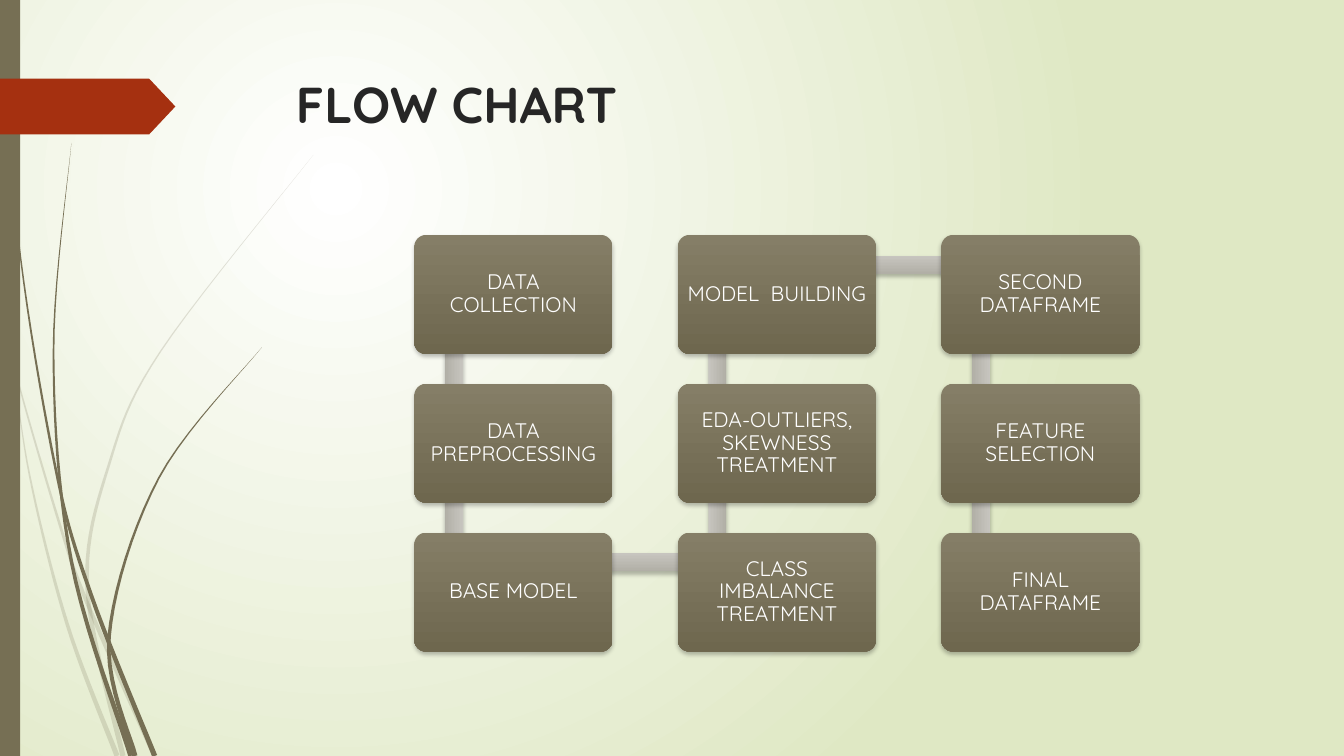
from math import hypot

from lxml import etree
from pptx import Presentation
from pptx.dml.color import RGBColor
from pptx.enum.shapes import MSO_SHAPE
from pptx.enum.text import MSO_ANCHOR, PP_ALIGN
from pptx.oxml import parse_xml
from pptx.oxml.ns import qn
from pptx.util import Cm, Pt

RECTANGLE = MSO_SHAPE.RECTANGLE
ROUNDED = MSO_SHAPE.ROUNDED_RECTANGLE
ARROW_TAG = MSO_SHAPE.PENTAGON
CENTER = PP_ALIGN.CENTER
MIDDLE = MSO_ANCHOR.MIDDLE
TOP = MSO_ANCHOR.TOP

WHITE = RGBColor(0xFF, 0xFF, 0xFF)
PALE_GREEN = RGBColor(0xDF, 0xE8, 0xC4)
OLIVE = RGBColor(0x76, 0x6F, 0x54)
RUST = RGBColor(0xA5, 0x30, 0x10)
CHARCOAL = RGBColor(0x26, 0x26, 0x26)
STEP_COLORS = RGBColor(0x85, 0x7E, 0x67), RGBColor(0x6E, 0x67, 0x4E)
BAR_COLORS = RGBColor(0xC7, 0xC5, 0xBF), RGBColor(0xB1, 0xAF, 0xA6)

FONT = "Quicksand"
PAGE_WIDTH, PAGE_HEIGHT = 33.87, 19.05
DRAWING_NS = "http://schemas.openxmlformats.org/drawingml/2006/main"

# Grass blades by opacity in percent: points in cm that each blade passes, tip to root
ROOT_WIDTH = 0.13
BLADES = {
    20: [
        [(0, 7.4), (0.4, 9.4), (1.5, 13.2), (2.2, 15.2), (3.9, 19.05)],
        [(0.3, 8.9), (0.75, 12), (1.7, 15.75), (2.95, 19.05)],
        [(7.9, 3.9), (4.05, 8.85), (2.75, 11.7), (2.2, 14.8), (3.1, 19.05)],
    ],
    100: [
        [(0.1, 0), (0.45, 5.9), (1.4, 11.8), (2.3, 15), (3.9, 19.05)],
        [(1.8, 3.6), (1.35, 8.85), (1.8, 14.15), (3.3, 19.05)],
        [(6.6, 8.75), (4, 12.05), (2.75, 16.05), (3.4, 19.05)],
    ],
}

# Steps by column, in the order of the flow: down, up, down
STEP_COLUMNS = [
    ["DATA COLLECTION", "DATA PREPROCESSING", "BASE MODEL"],
    ["CLASS IMBALANCE TREATMENT", "EDA-OUTLIERS, SKEWNESS TREATMENT", "MODEL  BUILDING"],
    ["SECOND DATAFRAME", "FEATURE SELECTION", "FINAL DATAFRAME"],
]
STEP_WIDTH, STEP_HEIGHT = 5, 3
BAR_THICKNESS = 0.46


# Shared helpers
def set_gradient(fill, colors):
    fill.gradient()
    for stop, color in zip(fill.gradient_stops, colors):
        stop.color.rgb = color


def set_solid(shape, color):
    shape.shadow.inherit = False
    shape.line.fill.background()
    shape.fill.solid()
    shape.fill.fore_color.rgb = color


def add_preset(page, kind, left, top, width, height, color):
    shape = page.shapes.add_shape(kind, Cm(left), Cm(top), Cm(width), Cm(height))
    set_solid(shape, color)
    return shape


def add_raised(page, kind, left, top, width, height, colors):
    """Preset with a vertical gradient and a soft shadow."""
    shape = add_preset(page, kind, left, top, width, height, colors[0])
    set_gradient(shape.fill, colors)
    shape.fill.gradient_angle = 270
    effects = shape._element.spPr.find(qn("a:effectLst"))
    effects.append(parse_xml(
        f'<a:outerShdw xmlns:a="{DRAWING_NS}" blurRad="38100" dist="25400" dir="5400000" '
        'rotWithShape="0"><a:srgbClr val="000000"><a:alpha val="25000"/></a:srgbClr>'
        '</a:outerShdw>'))
    return shape


def write(frame, text, size, color, bold=False):
    frame.word_wrap = True
    frame.text = text
    font = frame.paragraphs[0].runs[0].font
    font.name, font.size, font.bold = FONT, Pt(size), bold
    font.color.rgb = color


# Background
def set_background(page):
    set_gradient(page.background.fill, (WHITE, PALE_GREEN))
    gradient = page._element.find(".//" + qn("a:gradFill"))
    gradient.replace(gradient.find(qn("a:lin")), parse_xml(
        f'<a:path xmlns:a="{DRAWING_NS}" path="circle">'
        '<a:fillToRect l="50000" t="50000" r="100000" b="100000"/></a:path>'))


# Grass, edge and arrow tag at the left
def between(before, start, end, after, t):
    """Catmull-Rom value at t, from 0 at start to 1 at end."""
    linear = end - before
    square = 2 * before - 5 * start + 4 * end - after
    cubic = 3 * (start - end) + after - before
    return start + (linear * t + square * t**2 + cubic * t**3) / 2


def smooth(points, pieces=10):
    """Curve through the points, with each stretch cut into equal pieces."""
    padded = [points[0], *points, points[-1]]
    curve = []
    for stretch in zip(padded, padded[1:], padded[2:], padded[3:]):
        xs, ys = zip(*stretch)
        for piece in range(pieces):
            t = piece / pieces
            curve.append((between(*xs, t), between(*ys, t)))
    return curve + [points[-1]]


def add_blade(page, left, top, points, opacity):
    """Outline that widens evenly from the tip to the root."""
    curve = smooth(points)
    last = len(curve) - 1
    left_edge, right_edge = [], []
    for index, (x, y) in enumerate(curve):
        x_before, y_before = curve[max(index - 1, 0)]
        x_after, y_after = curve[min(index + 1, last)]
        run, rise = x_after - x_before, y_after - y_before
        half_width = ROOT_WIDTH / 2 * index / last
        scale = half_width / hypot(run, rise)
        left_edge.append((Cm(left + x - rise * scale), Cm(top + y + run * scale)))
        right_edge.append((Cm(left + x + rise * scale), Cm(top + y - run * scale)))
    tip, *outline = left_edge + right_edge[::-1]
    builder = page.shapes.build_freeform(*tip)
    builder.add_line_segments(outline)
    blade = builder.convert_to_shape()
    set_solid(blade, OLIVE)
    color = blade._element.spPr.find(".//" + qn("a:srgbClr"))
    etree.SubElement(color, qn("a:alpha")).set("val", str(opacity * 1000))


def add_side_decoration(page, left, top, height):
    for opacity, blades in BLADES.items():
        for points in blades:
            add_blade(page, left, top, points, opacity)
    add_preset(page, RECTANGLE, left, top, 0.51, height, OLIVE)
    tag = add_preset(page, ARROW_TAG, left, top + 1.98, 4.42, 1.41, RUST)
    tag.adjustments[0] = 0.47


# Title
def add_title(page, left, top, width, height):
    box = page.shapes.add_textbox(Cm(left), Cm(top), Cm(width), Cm(height))
    box.text_frame.vertical_anchor = TOP
    write(box.text_frame, "FLOW CHART", 36, CHARCOAL, bold=True)


# Flow chart
def add_step(page, text, left, top):
    step = add_raised(page, ROUNDED, left, top, STEP_WIDTH, STEP_HEIGHT, STEP_COLORS)
    step.adjustments[0] = 0.1
    frame = step.text_frame
    frame.margin_left = frame.margin_right = Cm(0.15)
    frame.margin_top = frame.margin_bottom = Cm(0.15)
    frame.vertical_anchor = MIDDLE
    write(frame, text, 15, WHITE)
    para = frame.paragraphs[0]
    para.alignment = CENTER
    para.line_spacing = 0.9


def add_bar(page, corner, next_corner):
    """Bar from one step to the next, turned to the direction of flow."""
    (x, y), (next_x, next_y) = corner, next_corner
    length = hypot(next_x - x, next_y - y)
    middle_x = (x + next_x) / 2 + STEP_WIDTH / 5
    middle_y = (y + next_y) / 2 + STEP_HEIGHT / 4
    bar = add_raised(page, RECTANGLE, middle_x - length / 2, middle_y - BAR_THICKNESS / 2,
                     length, BAR_THICKNESS, BAR_COLORS)
    if next_y != y:
        bar.rotation = 90 if next_y > y else 270


def add_flow(page, left, top, width, height):
    pitch_x = (width - STEP_WIDTH) / (len(STEP_COLUMNS) - 1)
    pitch_y = (height - STEP_HEIGHT) / (len(STEP_COLUMNS[0]) - 1)
    steps = []
    for column, texts in enumerate(STEP_COLUMNS):
        goes_up = column % 2 == 1
        for order, text in enumerate(texts):
            row = len(texts) - 1 - order if goes_up else order
            steps.append((text, (left + column * pitch_x, top + row * pitch_y)))
    # All bars first, so that the steps cover their ends
    for (_, corner), (_, next_corner) in zip(steps, steps[1:]):
        add_bar(page, corner, next_corner)
    for text, corner in steps:
        add_step(page, text, *corner)


def main():
    deck = Presentation()
    deck.slide_width, deck.slide_height = Cm(PAGE_WIDTH), Cm(PAGE_HEIGHT)
    page = deck.slides.add_slide(deck.slide_layouts[6])
    set_background(page)
    add_side_decoration(page, 0, 0, PAGE_HEIGHT)
    add_title(page, 7.21, 1.73, 24.77, 3.56)
    add_flow(page, 10.44, 5.92, 18.28, 10.5)
    deck.save("out.pptx")


if __name__ == "__main__":
    main()
